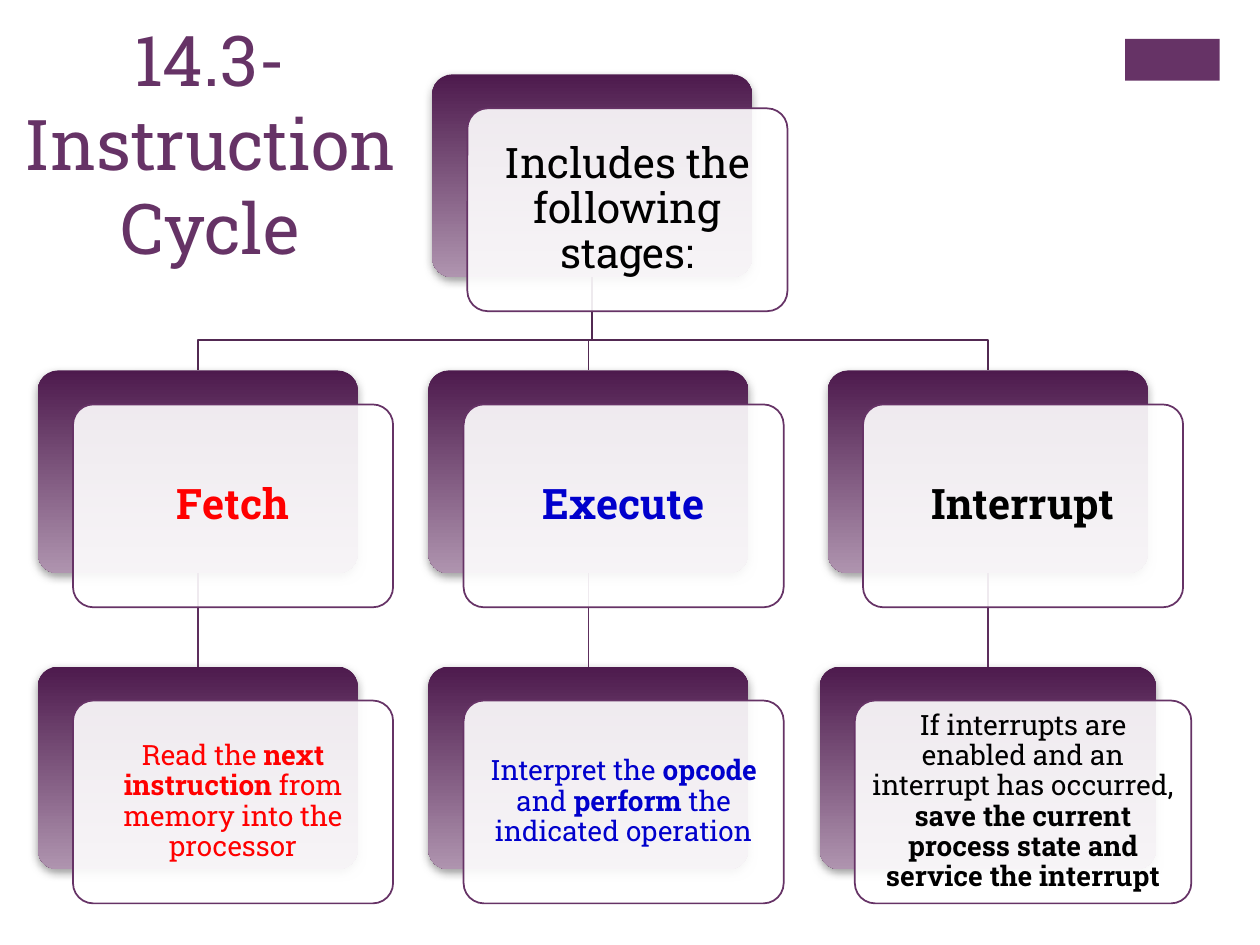
from dataclasses import dataclass

from lxml.etree import SubElement
from pptx import Presentation
from pptx.dml.color import RGBColor as Rgb
from pptx.enum.shapes import MSO_CONNECTOR as Connector, MSO_SHAPE as Shape
from pptx.enum.text import MSO_ANCHOR as Anchor, MSO_AUTO_SIZE as AutoSize, PP_ALIGN as Align
from pptx.oxml.ns import qn
from pptx.util import Inches, Pt


@dataclass(frozen=True)
class Theme:
    font: str = "Roboto Slab"
    title_size: int = 40
    heading_size: int = 24
    detail_size: int = 16
    purple: str = "663366"
    card_top: str = "4D1A4D"
    card_bottom: str = "AF94AF"
    branch: str = "522952"
    stem: str = "5D2E5D"
    shadow: str = "808080"
    white: str = "FFFFFF"
    black: str = "000000"
    red: str = "FF0000"
    blue: str = "0000CC"


THEME = Theme()

# Chart grid, in inches: column centres, first row and row step
ROOT_CENTRE = 4.7
COLUMN_CENTRES = (1.57, 4.67, 7.84)
FIRST_ROW, ROW_STEP = 0.59, 2.35
CARD_WIDTH, WIDE_CARD, CARD_HEIGHT = 2.54, 2.67, 1.61
FRONT_SHIFT = (0.28, 0.27)
BRANCH_Y = 2.7

# Each stage: colour, heading, and detail as (text, bold) pieces
STAGES = (
    (THEME.red, "Fetch", CARD_WIDTH,
     [("Read the ", False), ("next instruction ", True),
      ("from memory into the processor", False)]),
    (THEME.blue, "Execute", CARD_WIDTH,
     [("Interpret the ", False), ("opcode ", True), ("and ", False),
      ("perform", True), (" the indicated operation", False)]),
    (THEME.black, "Interrupt", WIDE_CARD,
     [("If interrupts are enabled and an interrupt has occurred, ", False),
      ("save the current process state and service the interrupt", True)]),
)


def row_top(row):
    return FIRST_ROW + row * ROW_STEP


def rgb(colour):
    return Rgb.from_string(colour)


def set_line(shape, colour):
    shape.line.color.rgb = rgb(colour)
    shape.line.width = Pt(1)


def write(paragraph, pieces, size, colour):
    paragraph.alignment = Align.CENTER
    paragraph.font.name = THEME.font
    paragraph.font.size = Pt(size)
    paragraph.font.color.rgb = rgb(colour)
    for text, bold in pieces:
        run = paragraph.add_run()
        run.text = text
        run.font.bold = bold


def add_title(slide, text):
    title = slide.shapes.title
    title.left, title.top = Inches(0.05), Inches(0.08)
    title.width, title.height = Inches(3.23), Inches(2.11)
    frame = title.text_frame
    frame.auto_size = AutoSize.NONE
    frame.vertical_anchor = Anchor.TOP
    write(frame.paragraphs[0], [(text, False)], THEME.title_size, THEME.purple)


def add_block(slide, kind, left, top, width, height):
    block = slide.shapes.add_shape(
        kind, Inches(left), Inches(top), Inches(width), Inches(height))
    block.shadow.inherit = False
    return block


def add_corner_mark(slide):
    mark = add_block(slide, Shape.RECTANGLE, 8.93, 0.31, 0.75, 0.33)
    mark.fill.solid()
    mark.fill.fore_color.rgb = rgb(THEME.purple)
    mark.line.fill.background()


def add_back_card(slide, centre, row, width=CARD_WIDTH):
    card = add_block(slide, Shape.ROUNDED_RECTANGLE, centre - width / 2,
                     row_top(row), width, CARD_HEIGHT)
    card.adjustments[0] = 0.1
    card.line.fill.background()
    card.fill.gradient()
    card.fill.gradient_angle = 270
    for stop, colour in zip(card.fill.gradient_stops, (THEME.card_top, THEME.card_bottom)):
        stop.color.rgb = rgb(colour)
    # Soft shadow below the card
    effects = card._element.spPr.find(qn("a:effectLst"))
    shadow = SubElement(effects, qn("a:outerShdw"), blurRad=str(Pt(5)),
                        dist=str(Pt(2)), dir="5400000", rotWithShape="0")
    tint = SubElement(shadow, qn("a:srgbClr"), val=THEME.shadow)
    SubElement(tint, qn("a:alpha"), val="75000")
    return card


def add_front_card(slide, back, pieces, size, colour):
    shift_x, shift_y = (Inches(shift) for shift in FRONT_SHIFT)
    card = slide.shapes.add_shape(Shape.ROUNDED_RECTANGLE, back.left + shift_x,
                                  back.top + shift_y, back.width, back.height)
    card.shadow.inherit = False
    card.adjustments[0] = 0.1
    card.fill.solid()
    card.fill.fore_color.rgb = rgb(THEME.white)
    tint = card._element.spPr.find(qn("a:solidFill"))[0]
    SubElement(tint, qn("a:alpha"), val="90000")
    set_line(card, THEME.purple)

    frame = card.text_frame
    frame.word_wrap = True
    frame.vertical_anchor = Anchor.MIDDLE
    inset = Inches(0.1 if size == THEME.heading_size else 0.07)
    frame.margin_left = frame.margin_right = inset
    frame.margin_top = frame.margin_bottom = inset
    paragraph = frame.paragraphs[0]
    paragraph.line_spacing = 0.9
    write(paragraph, pieces, size, colour)


def add_branch(slide, root, heading):
    """Bent line from the root card down to a stage heading."""
    start_x = root.left + root.width // 2
    end_x = heading.left + heading.width // 2
    bend_y = Inches(BRANCH_Y)
    builder = slide.shapes.build_freeform(start_x, root.top + root.height)
    builder.add_line_segments(
        [(start_x, bend_y), (end_x, bend_y), (end_x, heading.top)], close=False)
    branch = builder.convert_to_shape()
    branch.fill.background()
    branch.shadow.inherit = False
    set_line(branch, THEME.branch)


def add_stem(slide, heading, detail):
    """Straight line from a stage heading to its detail."""
    stem = slide.shapes.add_connector(Connector.STRAIGHT, 0, 0, 0, 0)
    stem.begin_connect(heading, 2)
    stem.end_connect(detail, 0)
    set_line(stem, THEME.stem)
    SubElement(stem._element.spPr, qn("a:effectLst"))


def main():
    deck = Presentation()
    deck.slide_width, deck.slide_height = Inches(10), Inches(7.5)
    slide = deck.slides.add_slide(deck.slide_layouts[5])
    add_title(slide, "14.3-Instruction Cycle")
    add_corner_mark(slide)

    # Back cards, then the lines, so that the front cards cover both
    root = add_back_card(slide, ROOT_CENTRE, 0)
    headings = [add_back_card(slide, centre, 1) for centre in COLUMN_CENTRES]
    details = [add_back_card(slide, centre, 2, stage[2])
               for centre, stage in zip(COLUMN_CENTRES, STAGES)]
    for heading, detail in zip(headings, details):
        add_branch(slide, root, heading)
        add_stem(slide, heading, detail)

    # Front cards with the wording
    add_front_card(slide, root, [("Includes the following stages:", False)],
                   THEME.heading_size, THEME.black)
    for heading, detail, stage in zip(headings, details, STAGES):
        colour, name, _, pieces = stage
        add_front_card(slide, heading, [(name, True)], THEME.heading_size, colour)
        add_front_card(slide, detail, pieces, THEME.detail_size, colour)

    deck.save("out.pptx")


if __name__ == "__main__":
    main()
